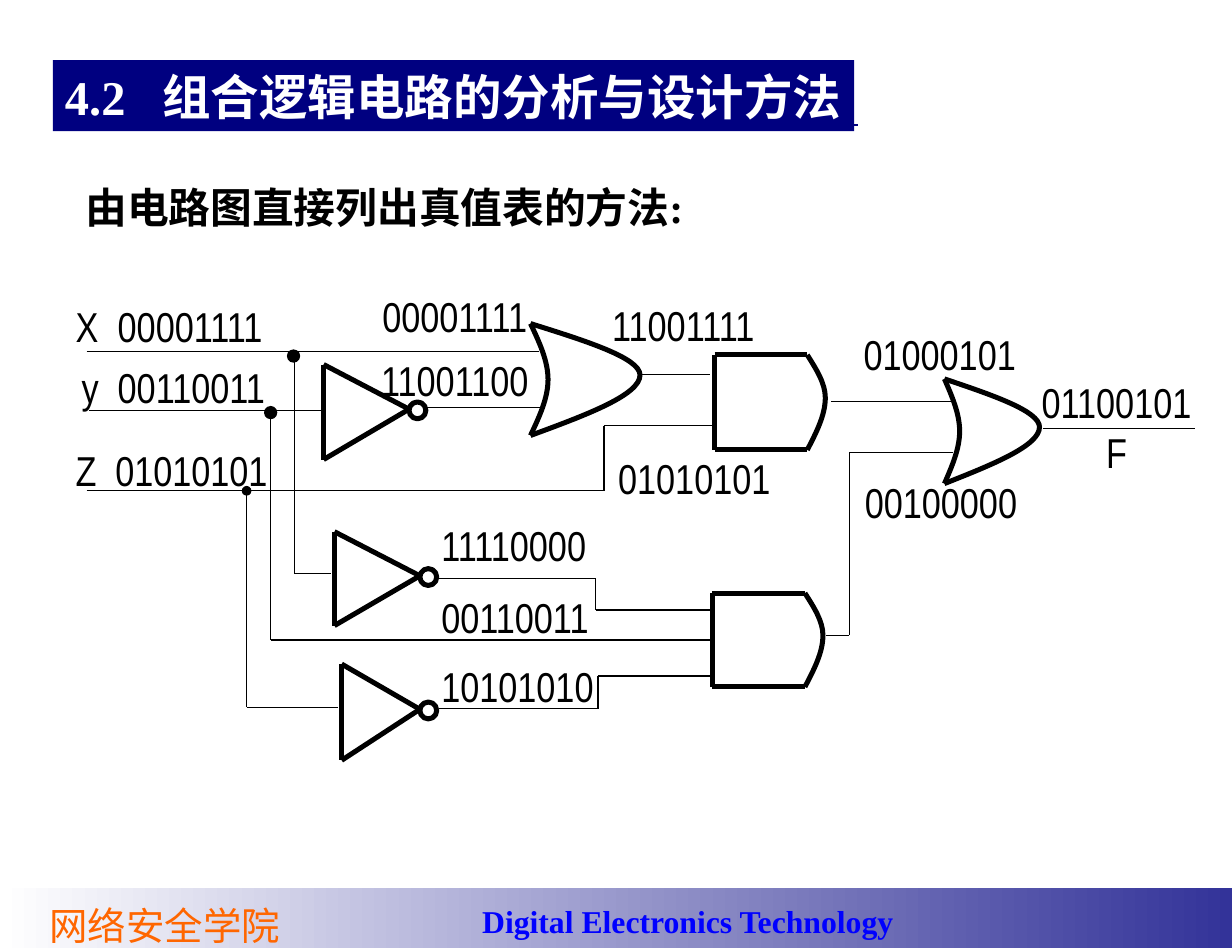
from pptx import Presentation
from pptx.dml.color import RGBColor
from pptx.enum.shapes import MSO_CONNECTOR, MSO_SHAPE
from pptx.enum.text import MSO_ANCHOR, MSO_AUTO_SIZE, PP_ALIGN
from pptx.oxml.ns import qn
from pptx.util import Inches, Pt
from lxml import etree

BLACK, NAVY, WHITE = "000000", "000080", "FFFFFF"
SERIF, SANS, CJK = "Times New Roman", "Arial Narrow", "Noto Sans CJK SC"
THIN, THICK = 0.75, 3


def rgb(value):
    return RGBColor.from_string(value)


def place(sp, left, top, width, height):
    sp.left, sp.top = Inches(left), Inches(top)
    sp.width, sp.height = Inches(width), Inches(height)


def style(p, size, font, color, bold=False, align=PP_ALIGN.LEFT):
    p.font.size, p.font.name, p.font.bold = Pt(size), font, bold
    p.font.color.rgb = rgb(color)
    p.alignment = align
    p.space_before = Pt(0)
    # East Asian typeface for the Chinese wording
    latin = p.font._element.find(qn("a:latin"))
    latin.addnext(etree.Element(qn("a:ea"), typeface=CJK))


def tab_stop(p, position):
    pPr = p._p.get_or_add_pPr()
    tabs = etree.Element(qn("a:tabLst"))
    etree.SubElement(tabs, qn("a:tab"), pos=str(Inches(position)), algn="l")
    pPr.find(qn("a:defRPr")).addprevious(tabs)


def textbox(s, left, top, width, height, text, size, font, color, wrap=False, **kw):
    tf = s.shapes.add_textbox(Inches(left), Inches(top), Inches(width), Inches(height)).text_frame
    tf.word_wrap = wrap
    tf.text = text
    for p in tf.paragraphs:
        style(p, size, font, color, **kw)
    return tf


def line(s, x1, y1, x2, y2, weight=THIN, color=BLACK):
    cx = s.shapes.add_connector(MSO_CONNECTOR.STRAIGHT, Inches(x1), Inches(y1),
                                Inches(x2), Inches(y2))
    cx.line.color.rgb = rgb(color)
    cx.line.width = Pt(weight)
    etree.SubElement(cx._element.spPr, qn("a:effectLst"))


def circle(s, cx, cy, size, weight, fill=None):
    sp = s.shapes.add_shape(MSO_SHAPE.OVAL, Inches(cx - size / 2), Inches(cy - size / 2),
                            Inches(size), Inches(size))
    sp.shadow.inherit = False
    sp.line.color.rgb = rgb(BLACK)
    sp.line.width = Pt(weight)
    if fill:
        sp.fill.solid()
        sp.fill.fore_color.rgb = rgb(fill)
    else:
        sp.fill.background()


def curve(s, left, top, width, height, peak):
    """Arc from top left to bottom left, reaching the right edge at peak."""
    rest = 1 - peak
    controls = [(0, 0), (0.5, peak / 3), (1, peak * 2 / 3), (1, peak),
                (1, peak + rest / 3), (0.5, peak + rest * 2 / 3), (0, 1)]
    points = [(Inches(left + x * width), Inches(top + y * height)) for x, y in controls]
    fb = s.shapes.build_freeform(*points[0])
    fb.add_line_segments(points[1:], close=False)
    sp = fb.convert_to_shape()
    sp.shadow.inherit = False
    sp.fill.background()
    sp.line.color.rgb = rgb(BLACK)
    sp.line.width = Pt(THICK)
    # Every three segments become one Bezier curve
    outline = next(sp._element.iter(qn("a:path")))
    segments = outline.findall(qn("a:lnTo"))
    for i in range(0, len(segments), 3):
        bezier = etree.SubElement(outline, qn("a:cubicBezTo"))
        for segment in segments[i:i + 3]:
            bezier.append(segment[0])
            outline.remove(segment)


# Logic gates
def or_gate(s, left, top, width, height):
    curve(s, left, top, width * 0.16, height, 0.5)
    curve(s, left, top, width, height, 0.46)


def and_gate(s, left, top, width, height):
    right, bottom = left + width - 0.15, top + height
    line(s, left, top, left, bottom, THICK)
    line(s, left, top, right, top, THICK)
    line(s, left, bottom, right, bottom, THICK)
    curve(s, right, top, 0.15, height, 0.45)


def not_gate(s, left, top, width, height):
    tip, mid, bottom = left + width, top + height * 0.47, top + height
    line(s, left, top, left, bottom, THICK)
    line(s, left, top, tip, mid, THICK)
    line(s, left, bottom, tip, mid, THICK)
    circle(s, tip + 0.07, mid + 0.01, 0.14, THICK)


GATES = [
    (or_gate, 3.91, 0.39, 0.91, 0.93), (or_gate, 7.35, 0.85, 0.79, 0.87),
    (and_gate, 5.44, 0.65, 0.92, 0.79), (and_gate, 5.42, 2.63, 0.92, 0.78),
    (not_gate, 2.19, 0.73, 0.71, 0.79), (not_gate, 2.28, 2.12, 0.71, 0.78),
    (not_gate, 2.34, 3.22, 0.65, 0.8),
]
WIRES = [
    [(0.22, 0.62), (3.98, 0.62)],                                # X
    [(0.24, 1.11), (2.21, 1.11)],                                # y
    [(0.22, 1.78), (4.52, 1.78), (4.52, 1.24), (5.43, 1.24)],    # Z
    [(1.95, 0.65), (1.95, 2.47), (2.25, 2.47)],                  # X branch
    [(1.75, 1.11), (1.75, 3.02), (5.4, 3.02)],                   # y branch
    [(1.55, 1.81), (1.55, 3.58), (2.31, 3.58)],                  # Z branch
    [(3.04, 1.09), (4.01, 1.09)],                                # gate outputs
    [(4.81, 0.81), (5.4, 0.81)],
    [(6.41, 1.04), (7.45, 1.04)],
    [(3.11, 2.51), (4.45, 2.51), (4.45, 2.77), (5.41, 2.77)],
    [(3.15, 3.59), (4.47, 3.59), (4.47, 3.32), (5.43, 3.32)],
    [(6.37, 2.98), (6.56, 2.98), (6.56, 1.46), (7.42, 1.46)],
    [(8.17, 1.26), (9.43, 1.26)],                                # F
]
JUNCTIONS = [(1.94, 0.66, 0.1), (1.75, 1.13, 0.1), (1.55, 1.78, 0.07)]
INPUTS = [(0.03, 0.15, 0.35, "X\t00001111"), (0.08, 0.66, 0.3, "y\t00110011"),
          (0.03, 1.35, 0.33, "Z\t01010101")]
SIGNALS = [
    (2.58, 0.07, "00001111"), (2.57, 0.6, "11001100"), (4.49, 0.14, "11001111"),
    (4.54, 1.41, "01010101"), (3.07, 1.97, "11110000"), (3.07, 2.57, "00110011"),
    (3.07, 3.14, "10101010"), (6.58, 0.38, "01000101"), (6.59, 1.61, "00100000"),
    (8.06, 0.78, "01100101\nF"),
]


def circuit(s, left, top):
    for gate, x, y, width, height in GATES:
        gate(s, left + x, top + y, width, height)
    for wire in WIRES:
        for (x1, y1), (x2, y2) in zip(wire, wire[1:]):
            line(s, left + x1, top + y1, left + x2, top + y2)
    for x, y, size in JUNCTIONS:
        circle(s, left + x, top + y, size, THIN, BLACK)
    for x, y, gap, text in INPUTS:
        tf = textbox(s, left + x, top + y, 1.82, 0.52, text, 25, SANS, BLACK, wrap=True)
        tab_stop(tf.paragraphs[0], gap)
    for x, y, text in SIGNALS:
        rows = len(text.split("\n"))
        tf = textbox(s, left + x, top + y, 1.47, 0.1 + 0.42 * rows, text, 25, SANS, BLACK)
        if rows > 1:
            tf.paragraphs[-1].alignment = PP_ALIGN.CENTER


def heading(s, left, top, width, height):
    line(s, left + 2.3, top + 0.54, left + width + 0.03, top + 0.54, color=NAVY)
    title = s.shapes.title
    place(title, left, top, width, height)
    title.fill.solid()
    title.fill.fore_color.rgb = rgb(NAVY)
    tf = title.text_frame
    tf.auto_size, tf.vertical_anchor = MSO_AUTO_SIZE.NONE, MSO_ANCHOR.MIDDLE
    tf.text = "4.2\t组合逻辑电路的分析与设计方法"
    style(tf.paragraphs[0], 29, SERIF, WHITE, bold=True)
    tab_stop(tf.paragraphs[0], 0.81)


def statement(s, left, top, width, height):
    body = s.placeholders[1]
    place(body, left, top, width, height)
    tf = body.text_frame
    tf.auto_size = MSO_AUTO_SIZE.NONE
    tf.text = "由电路图直接列出真值表的方法:"
    p = tf.paragraphs[0]
    style(p, 25, SERIF, BLACK, bold=True)
    p.line_spacing = 1.4
    pPr = p._p.get_or_add_pPr()
    pPr.set("marL", "0")
    pPr.set("indent", "0")
    pPr.find(qn("a:defRPr")).addprevious(etree.Element(qn("a:buNone")))


def footer(s, left, top, width, height):
    band = s.shapes.add_shape(MSO_SHAPE.RECTANGLE, Inches(left), Inches(top),
                              Inches(width), Inches(height))
    band.shadow.inherit = False
    band.line.fill.background()
    band.fill.gradient()
    band.fill.gradient_angle = 0
    for stop, color in zip(band.fill.gradient_stops, (WHITE, "333399")):
        stop.color.rgb = rgb(color)
    textbox(s, left + 0.2, top + 0.07, 2.34, 0.42, "网络安全学院", 23, CJK, "FF6600",
            align=PP_ALIGN.CENTER)
    textbox(s, left + 3.91, top + 0.07, 3.66, 0.42, "Digital Electronics Technology",
            19, SERIF, "0000FF", bold=True)


prs = Presentation()
prs.slide_width, prs.slide_height = Inches(10.24), Inches(7.88)
s = prs.slides.add_slide(prs.slide_layouts[1])
footer(s, 0, 7.38, 10.24, 0.5)
circuit(s, 0.5, 2.3)
heading(s, 0.44, 0.5, 6.66, 0.59)
statement(s, 0.61, 1.29, 8.75, 0.69)
prs.save("out.pptx")
